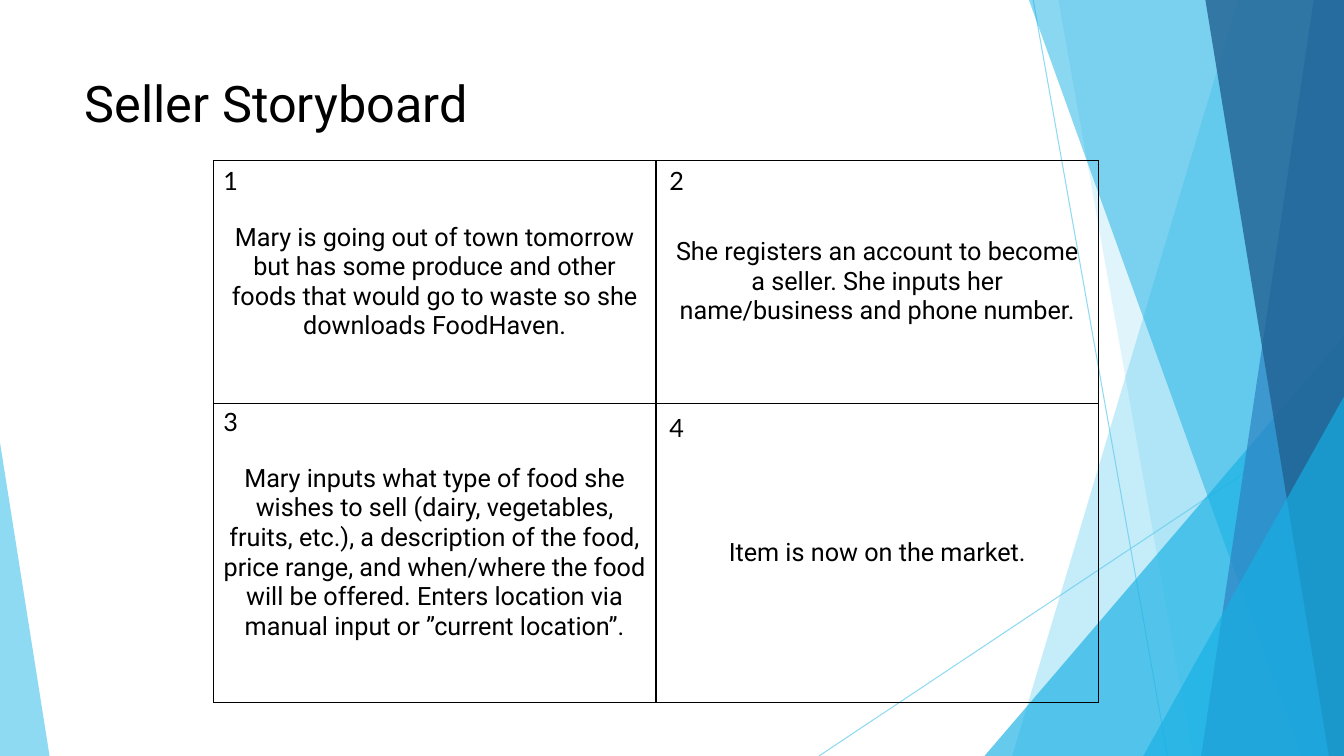
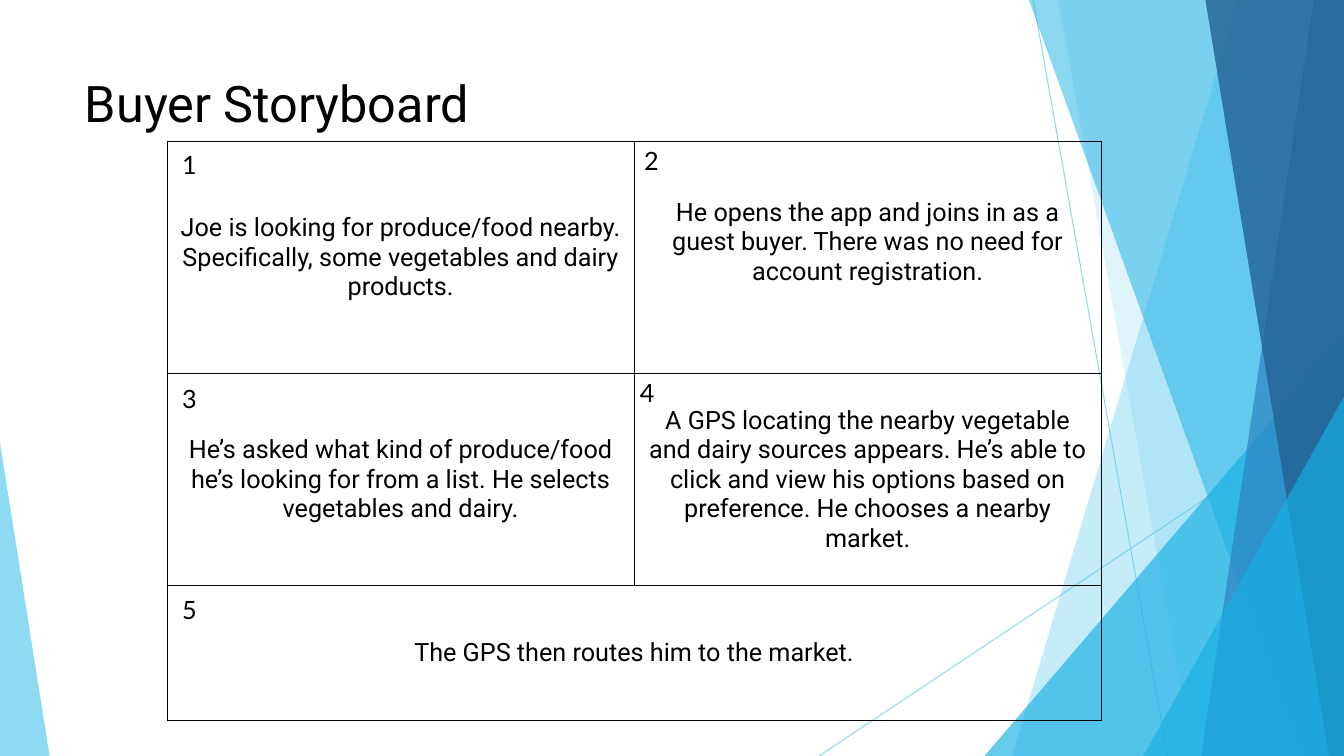
from dataclasses import dataclass

from lxml.etree import SubElement
from pptx import Presentation
from pptx.dml.color import RGBColor
from pptx.enum.shapes import MSO_CONNECTOR as Connector, MSO_SHAPE as Preset
from pptx.enum.text import MSO_ANCHOR as Anchor, PP_ALIGN as Align
from pptx.oxml import parse_xml
from pptx.oxml.ns import nsdecls, qn
from pptx.util import Emu, Inches, Pt

UNIT = Inches(1) / 12
COLUMNS, ROWS = 160, 90
TITLE_ONLY = 5

BLACK = RGBColor(0x00, 0x00, 0x00)
SKY = RGBColor(0x5F, 0xCB, 0xEF)
CYAN = RGBColor(0x17, 0xB0, 0xE4)
BLUE = RGBColor(0x2E, 0x83, 0xC3)
NAVY = RGBColor(0x22, 0x62, 0x92)
TEXT_FONT, NUMBER_FONT = "Roboto", "Lato"


@dataclass
class Box:
    """A rectangle in grid columns and rows."""
    left: float
    top: float
    width: float
    height: float

    def emu(self):
        """Return the four lengths in slide units."""
        return [grid(n) for n in (self.left, self.top, self.width, self.height)]


@dataclass
class Panel:
    """One storyboard cell and the offset of its number from the cell's corner."""
    text: str
    shift: float = 0
    drop: float = 0
    margin_bottom: float = 0.6


PAGE = Box(0, 0, COLUMNS, ROWS)
TITLE_BOX = Box(8.9, 8, 112.8, 17.3)


def grid(count):
    """Convert a number of grid units to slide units."""
    return Emu(round(count * UNIT))


def style_paragraph(paragraph, size, font_name, alignment):
    """Apply black text of one size, font and alignment."""
    paragraph.alignment = alignment
    paragraph.font.size = Pt(size)
    paragraph.font.name = font_name
    paragraph.font.color.rgb = BLACK


def set_opacity(shape, percent):
    """Make the shape's one explicit colour partly transparent."""
    colour = shape.element.xpath(".//p:spPr//a:srgbClr")[0]
    SubElement(colour, qn("a:alpha"), val=str(percent * 1000))


def paint(shape, colour, opacity):
    """Give a facet a translucent fill without line or shadow."""
    shape.shadow.inherit = False
    shape.fill.solid()
    shape.fill.fore_color.rgb = colour
    shape.line.fill.background()
    set_opacity(shape, opacity)
    return shape


def add_ray(slide, start, end):
    """Draw a thin translucent line between two grid points."""
    ray = slide.shapes.add_connector(Connector.STRAIGHT, *map(grid, start + end))
    ray.line.color.rgb = SKY
    ray.line.width = Pt(0.75)
    set_opacity(ray, 70)
    SubElement(ray.element.spPr, qn("a:effectLst"))
    return ray


def add_facet(slide, box, top_left, bottom_left, colour, opacity):
    """Draw a slanted band that reaches the right edge of the box."""
    right, bottom = box.left + box.width, box.top + box.height
    corners = [(right, box.top), (right, bottom), (bottom_left, bottom)]
    builder = slide.shapes.build_freeform(grid(top_left), grid(box.top))
    builder.add_line_segments([tuple(map(grid, corner)) for corner in corners])
    return paint(builder.convert_to_shape(), colour, opacity)


def add_triangle(slide, box, apex, colour, opacity):
    """Draw a triangle with its apex at a share of the box's width."""
    triangle = slide.shapes.add_shape(Preset.ISOSCELES_TRIANGLE, *box.emu())
    triangle.adjustments[0] = apex
    return paint(triangle, colour, opacity)


def draw_backdrop(slide, box):
    """Draw the faceted backdrop and return its shapes from back to front."""
    right, bottom = box.left + box.width, box.top + box.height

    def corner(left, top):
        return Box(left, top, right - left, bottom - top)

    return [
        add_ray(slide, (123, box.top), (139, bottom)),
        add_ray(slide, (right, 48.4), (97.5, bottom)),
        add_facet(slide, box, 147.4, 120.5, SKY, 36),
        add_facet(slide, box, 126, 142, SKY, 20),
        add_triangle(slide, corner(117.2, 40), 1, CYAN, 66),
        add_facet(slide, box, 122.5, 154.9, CYAN, 50),
        add_facet(slide, box, 156.4, 143, BLUE, 70),
        add_facet(slide, box, 143.5, 158.2, NAVY, 80),
        add_triangle(slide, corner(136.1, 47.2), 1, CYAN, 66),
        add_triangle(slide, Box(box.left, 52.7, 5.9, bottom - 52.7), 0, SKY, 70),
    ]


def prepare_layout(layout, title_box):
    """Place the shared title and drop the layout's other placeholders."""
    for placeholder in list(layout.placeholders):
        if placeholder.placeholder_format.idx:
            placeholder.element.getparent().remove(placeholder.element)
    title = layout.placeholders[0]
    title.left, title.top, title.width, title.height = title_box.emu()
    title.text_frame.vertical_anchor = Anchor.TOP


def move_to_layout(shapes, layout):
    """Move shapes from a slide to the layout all slides share."""
    for shape in shapes:
        layout.shapes.element.append(shape.element)


def frame_cell(cell):
    """Give a cell thin black borders and no fill."""
    properties = cell._tc.get_or_add_tcPr()
    for side in "LRTB":
        properties.append(parse_xml(
            f'<a:ln{side} {nsdecls("a")} w="12700"><a:solidFill>'
            f'<a:srgbClr val="{BLACK}"/></a:solidFill></a:ln{side}>'))
    cell.fill.background()


def add_number(slide, box, number):
    """Write a panel's number in a small text box."""
    label = slide.shapes.add_textbox(*box.emu())
    label.text_frame.word_wrap = True
    label.text_frame.text = str(number)
    style_paragraph(label.text_frame.paragraphs[0], 18, NUMBER_FONT, Align.LEFT)


def add_storyboard(slide, box, row_heights, panels):
    """Fill a two-column table with panels; an odd last one spans the row."""
    frame = slide.shapes.add_table(len(row_heights), 2, *box.emu())
    table = frame.table
    table.first_row = table.horz_banding = False
    for row, height in zip(table.rows, row_heights):
        row.height = grid(height)
    for cell in table.iter_cells():
        frame_cell(cell)
    if len(panels) % 2:
        last = len(row_heights) - 1
        table.cell(last, 0).merge(table.cell(last, 1))
    for index, panel in enumerate(panels):
        row, column = divmod(index, 2)
        cell = table.cell(row, column)
        cell.text = panel.text
        cell.vertical_anchor = Anchor.MIDDLE
        cell.margin_bottom = grid(panel.margin_bottom)
        style_paragraph(cell.text_frame.paragraphs[0], 18, TEXT_FONT, Align.CENTER)
        left = box.left + column * box.width / 2 + panel.shift
        top = box.top + sum(row_heights[:row]) + panel.drop
        add_number(slide, Box(left, top, 3, 5), index + 1)


def add_storyboard_slide(presentation, layout, title, box, row_heights, panels):
    """Add a titled slide with one storyboard."""
    slide = presentation.slides.add_slide(layout)
    slide.shapes.title.text = title
    style_paragraph(slide.shapes.title.text_frame.paragraphs[0], 36, TEXT_FONT, Align.LEFT)
    if len(presentation.slides) == 1:
        move_to_layout(draw_backdrop(slide, PAGE), layout)
    add_storyboard(slide, box, row_heights, panels)


SELLER_PANELS = [
    Panel("Mary is going out of town tomorrow but has some produce and other "
          "foods that would go to waste so she downloads FoodHaven."),
    Panel("She registers an account to become a seller. She inputs her "
          "name/business and phone number.", 0.4),
    Panel("Mary inputs what type of food she wishes to sell (dairy, vegetables, "
          "fruits, etc.), a description of the food, price range, and when/where "
          "the food will be offered. Enters location via manual input or "
          "”current location”.", 0, -0.2),
    Panel("Item is now on the market.", 0.4, 0.5),
]
BUYER_PANELS = [
    Panel("Joe is looking for produce/food nearby. Specifically, some vegetables "
          "and dairy products.", 0.6, 0.4),
    Panel("He opens the app and joins in as a guest buyer. There was no need for "
          "account registration.", 0, -0.1, 4.2),
    Panel("He’s asked what kind of produce/food he’s looking for from a list. He "
          "selects vegetables and dairy.", 0.6, 0.5),
    Panel("A GPS locating the nearby vegetable and dairy sources appears. He’s "
          "able to click and view his options based on preference. He chooses a "
          "nearby market.", -0.5, -0.2),
    Panel("The GPS then routes him to the market.", 0.6, 0.5),
]


def main():
    """Build and save the presentation."""
    presentation = Presentation()
    presentation.slide_width, presentation.slide_height = grid(COLUMNS), grid(ROWS)
    layout = presentation.slide_layouts[TITLE_ONLY]
    prepare_layout(layout, TITLE_BOX)
    add_storyboard_slide(presentation, layout, "Seller Storyboard",
                         Box(25.4, 19.1, 105.4, 64.5), [28.9, 35.6], SELLER_PANELS)
    add_storyboard_slide(presentation, layout, "Buyer Storyboard",
                         Box(19.9, 16.8, 111.2, 69), [27.7, 25.2, 16.1], BUYER_PANELS)
    presentation.save("out.pptx")


if __name__ == "__main__":
    main()
